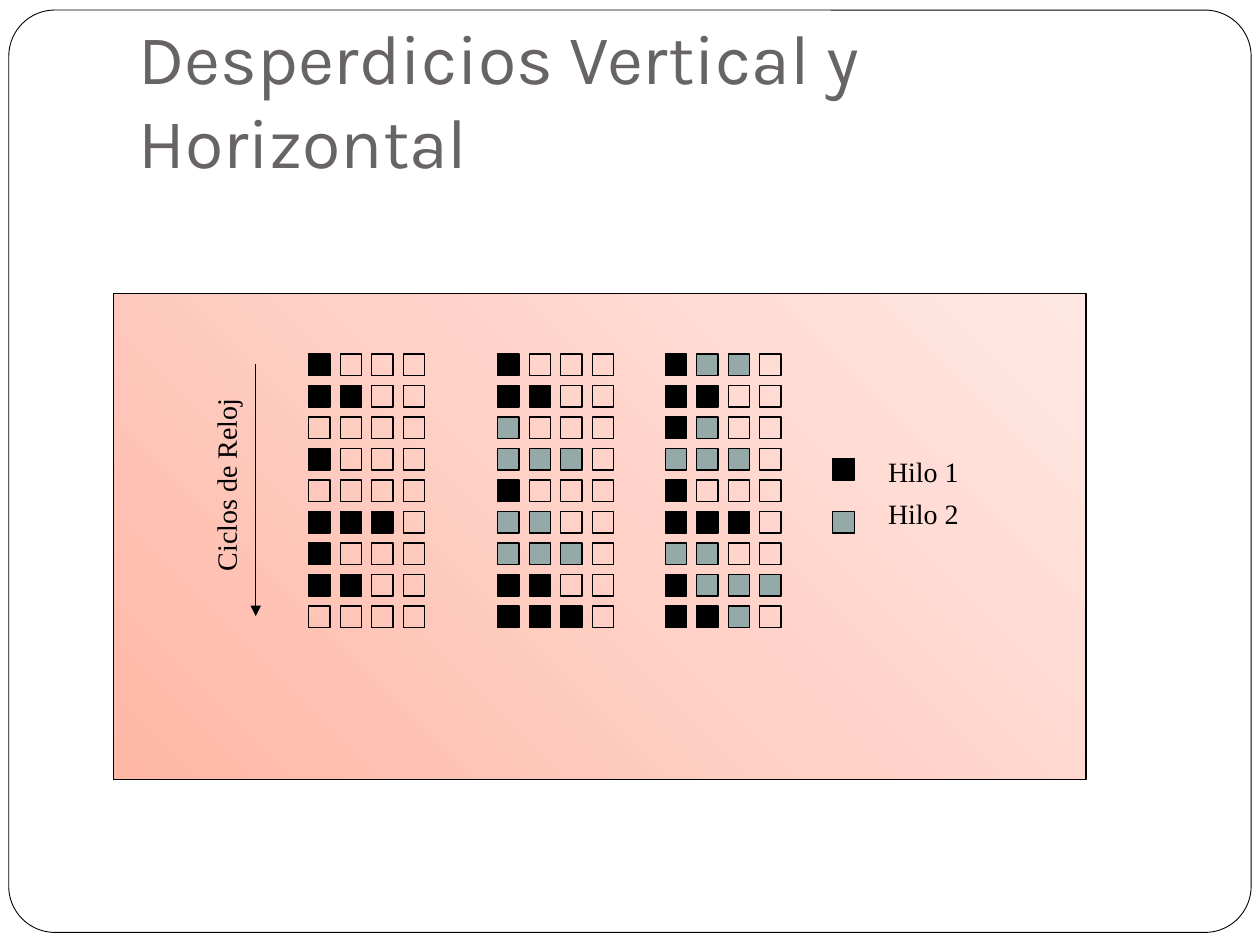
from copy import deepcopy
from lxml import etree
from pptx import Presentation, util as u
from pptx.dml.color import RGBColor
from pptx.enum import shapes as sh, text as tx
from pptx.oxml.ns import qn

STEP = u.Inches(0.25)
SIDE = 0.68
BLACK, GRAY, WHITE = "000000", "96A9A9", "FFFFFF"

deck = Presentation()
deck.slide_width, deck.slide_height = 40 * STEP, 30 * STEP
page = deck.slides.add_slide(deck.slide_layouts[6])


def box(col, row, wide, high, fill=None, line=0.75, kind=sh.MSO_SHAPE.RECTANGLE):
    item = page.shapes.add_shape(kind, *[int(n * STEP) for n in (col, row, wide, high)])
    item.shadow.inherit = False
    if fill:
        item.fill.solid()
        item.fill.fore_color.rgb = RGBColor.from_string(fill)
    else:
        item.fill.background()
    item.line.color.rgb = RGBColor.from_string(BLACK)
    item.line.width = u.Pt(line)
    return item


def label(col, row, wide, high, words, frame={}, face="Times New Roman", size=16, tint=BLACK):
    item = page.shapes.add_textbox(*[int(n * STEP) for n in (col, row, wide, high)])
    for key, val in frame.items():
        setattr(item.text_frame, key, val)
    run = item.text_frame.paragraphs[0].add_run()
    run.text = words
    for key, val in {"name": face, "size": u.Pt(size)}.items():
        setattr(run.font, key, val)
    run.font.color.rgb = RGBColor.from_string(tint)
    return item


edge = box(0.28, 0.32, 39.44, 29.28, WHITE, 0.5, sh.MSO_SHAPE.ROUNDED_RECTANGLE)
edge.adjustments[0] = 0.05

head = {"word_wrap": True, "vertical_anchor": tx.MSO_ANCHOR.BOTTOM, "margin_bottom": u.Inches(0.1)}
label(4, 1.2, 34, 5, "Desperdicios Vertical y Horizontal", head, "Karla", 40, "696464")

panel = box(3.6, 9.32, 30.88, 15.44)
panel.fill.gradient()
panel.fill.gradient_angle = 45
stops = panel._element.spPr.find(qn("a:gradFill")).find(qn("a:gsLst"))
stops.insert(1, deepcopy(stops[0]))
for stop, (place, tint) in zip(panel.fill.gradient_stops, [(0, "FFB7A6"), (0.5, "FFD1C7"), (1, "FFE8E3")]):
    stop.position = place
    stop.color.rgb = RGBColor.from_string(tint)

tints = {"1": BLACK, "2": GRAY, ".": None}
grids = {
    9.8: "1... 11.. .... 1... .... 111. 1... 11.. ....",
    15.8: "1... 11.. 2... 222. 1... 22.. 222. 11.. 111.",
    21.12: "122. 11.. 12.. 222. 1... 111. 22.. 1222 112.",
}
for left, rows in grids.items():
    for row, marks in enumerate(rows.split()):
        for col, mark in enumerate(marks):
            box(left + col, 11.24 + row, SIDE, SIDE, tints[mark])

plain = {"word_wrap": False, "auto_size": tx.MSO_AUTO_SIZE.SHAPE_TO_FIT_TEXT}
for mark, top, base in [("1", 14.56, 14.24), ("2", 16.24, 15.56)]:
    box(26.44, top, SIDE, SIDE, tints[mark])
    label(27.8, base, 3.04, 1.48, f"Hilo {mark}", plain)

time = page.shapes.add_connector(
    sh.MSO_CONNECTOR.STRAIGHT, *[int(n * STEP) for n in (8.12, 11.56, 8.12, 19.56)])
time.line.color.rgb = RGBColor.from_string(BLACK)
time.line.width = u.Pt(0.75)
etree.SubElement(time.line._get_or_add_ln(), qn("a:tailEnd"), type="triangle")
etree.SubElement(time._element.spPr, qn("a:effectLst"))

label(4.04, 14.64, 6.28, 1.48, "Ciclos de Reloj", plain).rotation = 270

deck.save("out.pptx")
